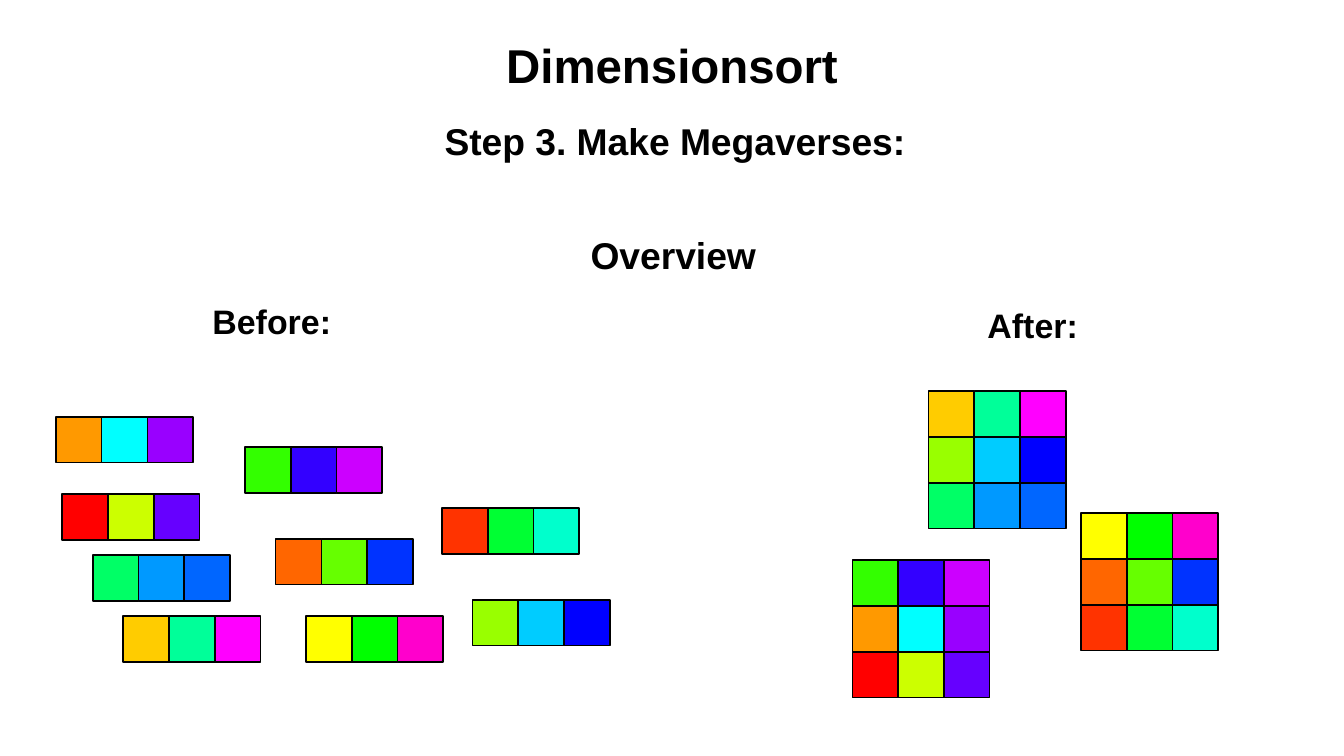
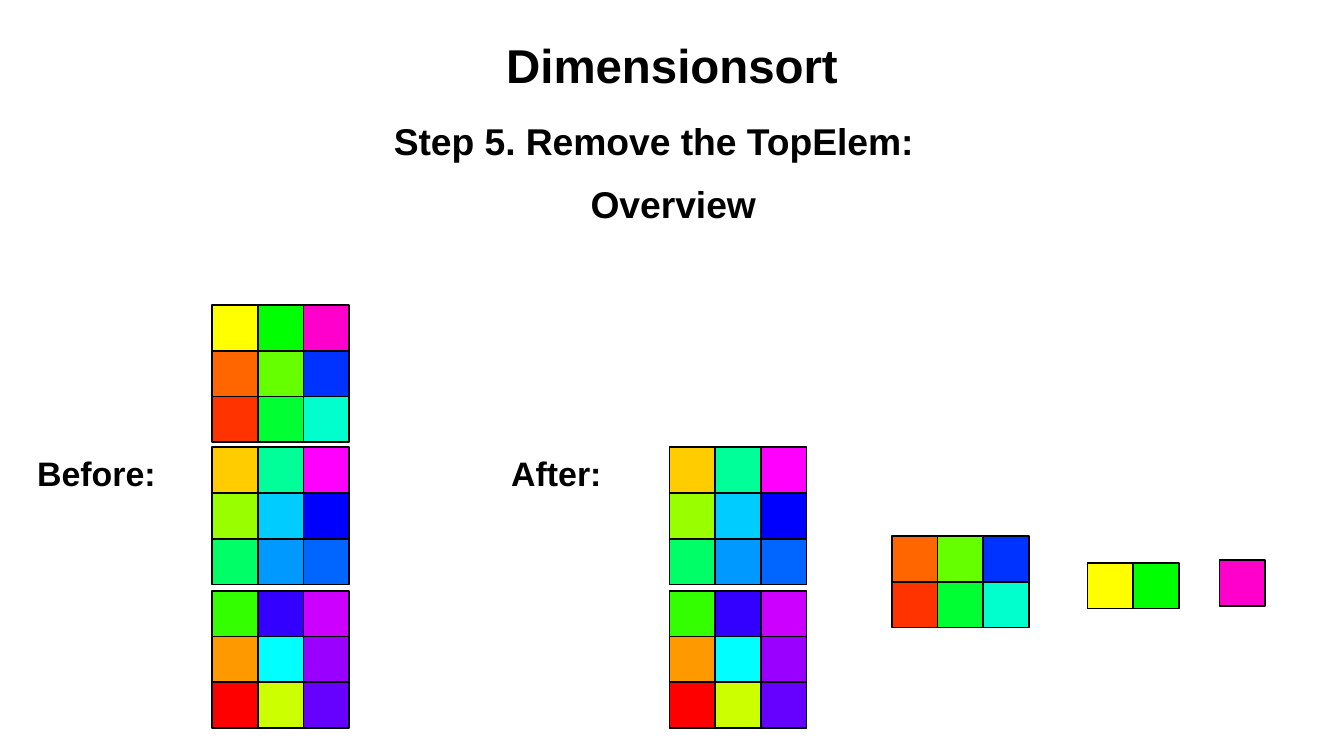
"""Build two Dimensionsort overview slides with coloured cell blocks."""
from pptx import Presentation
from pptx.dml.color import RGBColor
from pptx.enum.shapes import MSO_SHAPE
from pptx.enum.text import MSO_ANCHOR, MSO_AUTO_SIZE, PP_ALIGN
from pptx.util import Pt

RECT = MSO_SHAPE.RECTANGLE
MIDDLE, TOP = MSO_ANCHOR.MIDDLE, MSO_ANCHOR.TOP
CENTER, LEFT = PP_ALIGN.CENTER, PP_ALIGN.LEFT
FIXED = MSO_AUTO_SIZE.NONE

PX = 9525
SIZE = (1058, 595)
CELL = 36
FONT = "Arial"
INK = "000000"
TITLE = "Dimensionsort"
TITLE_BOX = (53, 1, 952, 100)

ROWS = {
    "lime": ("33FF00", "3300FF", "CC00FF"),
    "orange": ("FF9900", "00FFFF", "9900FF"),
    "red": ("FF0000", "CCFF00", "6600FF"),
    "yellow": ("FFFF00", "00FF00", "FF00CC"),
    "amber": ("FF6600", "66FF00", "0033FF"),
    "coral": ("FF3300", "00FF33", "00FFCC"),
    "gold": ("FFCC00", "00FF99", "FF00FF"),
    "olive": ("99FF00", "00CCFF", "0000FF"),
    "mint": ("00FF66", "0099FF", "0066FF"),
}
LOW = [ROWS[name] for name in ("lime", "orange", "red")]
HIGH = [ROWS[name] for name in ("yellow", "amber", "coral")]
MID = [ROWS[name] for name in ("gold", "olive", "mint")]

SLIDES = [
    {
        "step": ("Step 3. Make Megaverses:", (340, 88, 572, 75)),
        "over": (196, 178, 668, 75),
        "before": (122, 217, 184, 72),
        "after": (721, 220, 184, 72),
        "blocks": [
            (44, 328, [ROWS["orange"]]),
            (193, 352, [ROWS["lime"]]),
            (49, 389, [ROWS["red"]]),
            (348, 400, [ROWS["coral"]]),
            (217, 424, [ROWS["amber"]]),
            (73, 437, [ROWS["mint"]]),
            (372, 472, [ROWS["olive"]]),
            (97, 485, [ROWS["gold"]]),
            (241, 485, [ROWS["yellow"]]),
            (731, 308, MID),
            (851, 404, HIGH),
            (671, 441, LOW),
        ],
    },
    {
        "step": ("Step 5. Remove the TopElem:", (300, 88, 572, 75)),
        "over": (196, 138, 668, 75),
        "before": (0, 336, 152, 72),
        "after": (346, 336, 184, 72),
        "blocks": [
            (167, 240, HIGH),
            (167, 352, MID),
            (167, 465, LOW),
            (527, 352, MID),
            (527, 465, LOW),
            (702, 422, HIGH[1:]),
            (856, 443, [HIGH[0][:2]]),
            (960, 441, [HIGH[0][2:]]),
        ],
    },
]


def emu(box):
    return [n * PX for n in box]


def place(shape, box):
    shape.left, shape.top, shape.width, shape.height = emu(box)


def write(shape, text, size, align=CENTER, anchor=MIDDLE, pad=(0, 0)):
    frame = shape.text_frame
    frame.text = text
    frame.word_wrap = True
    frame.auto_size = FIXED
    frame.vertical_anchor = anchor
    frame.margin_left = frame.margin_right = pad[0] * PX
    frame.margin_top = frame.margin_bottom = pad[1] * PX
    para = frame.paragraphs[0]
    para.alignment = align
    para.space_before = Pt(0)
    font = para.runs[0].font
    font.name, font.size, font.bold = FONT, Pt(size), True
    font.color.rgb = RGBColor.from_string(INK)


def head(slide, text, box, align):
    shape = slide.shapes.add_textbox(*emu(box))
    write(shape, text, 22, align, TOP, (10, 5))


def block(slide, left, top, rows):
    group = slide.shapes.add_group_shape()
    for r, row in enumerate(rows):
        for c, fill in enumerate(row):
            box = (left + c * CELL, top + r * CELL, CELL, CELL)
            cell = group.shapes.add_shape(RECT, *emu(box))
            cell.shadow.inherit = False
            cell.fill.solid()
            cell.fill.fore_color.rgb = RGBColor.from_string(fill)
            cell.line.color.rgb = RGBColor.from_string(INK)
            cell.line.width = Pt(1)


def build(deck, layout, data):
    slide = deck.slides.add_slide(layout)
    write(slide.shapes.title, TITLE, 28)
    before = slide.placeholders[1]
    place(before, data["before"])
    write(before, "Before:", 20)
    after = slide.shapes.add_textbox(*emu(data["after"]))
    write(after, "After:", 20)
    head(slide, *data["step"], LEFT)
    head(slide, "Overview", data["over"], CENTER)
    for item in data["blocks"]:
        block(slide, *item)


def main():
    deck = Presentation()
    deck.slide_width, deck.slide_height = emu(SIZE)
    layout = deck.slide_layouts[0]
    place(layout.placeholders[0], TITLE_BOX)
    for data in SLIDES:
        build(deck, layout, data)
    deck.save("out.pptx")


if __name__ == "__main__":
    main()
